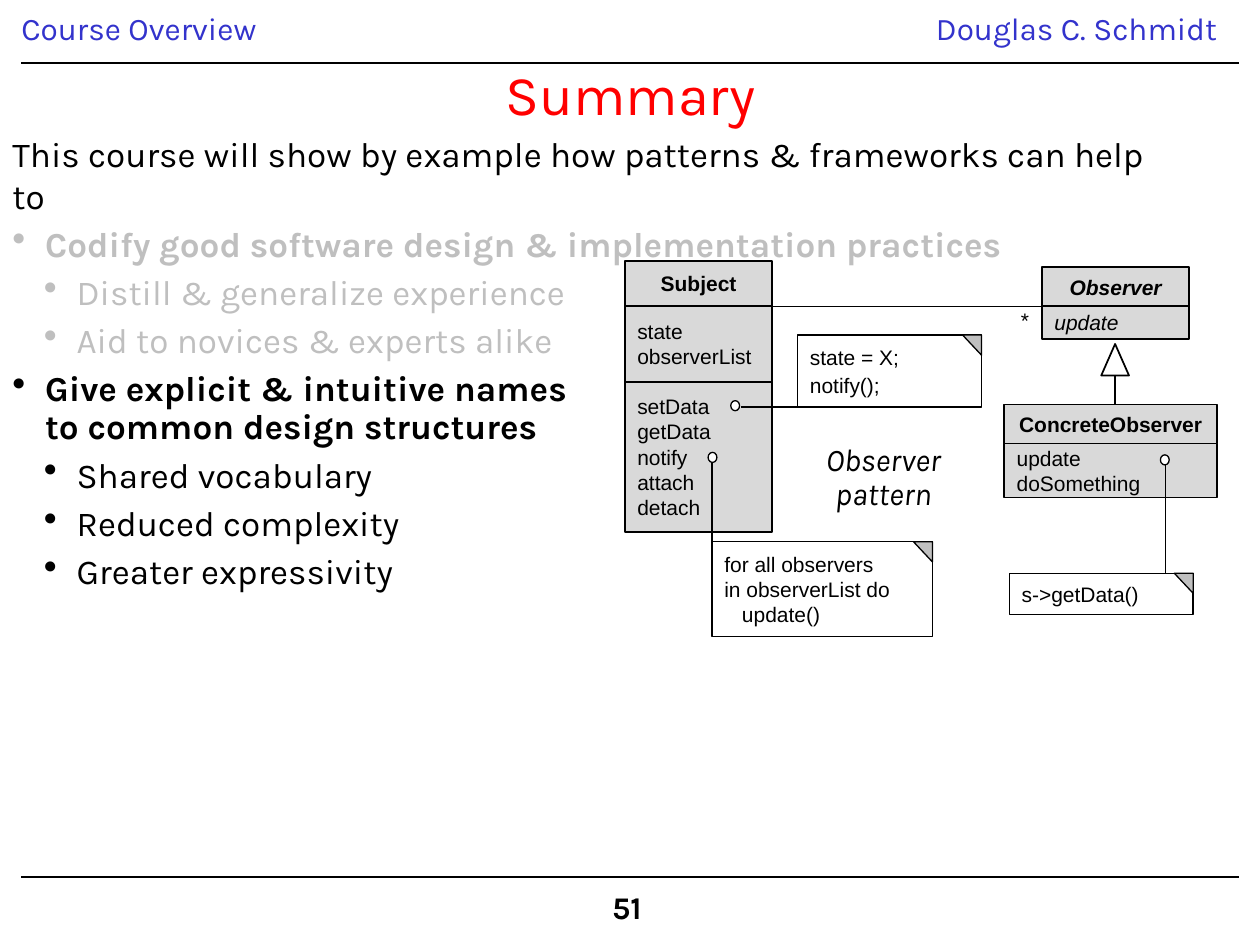
import pptx
import pptx.dml.color
import pptx.enum.shapes
import pptx.enum.text
import pptx.oxml.ns
import pptx.util
import lxml.etree

COLORS = {"black": "000000", "white": "FFFFFF", "blue": "3333CC", "red": "FF0000",
          "faded": "BFBFBF", "class": "D9D9D9", "fold": "C0C0C0"}
SHAPES = pptx.enum.shapes.MSO_SHAPE
ALIGN = pptx.enum.text.PP_ALIGN
ANCHOR = pptx.enum.text.MSO_ANCHOR
CODE = {"name": "Arial", "size": 12}
HEADING = {"name": "Karla", "size": 18}
BODY = {"name": "Karla", "size": 20}

INTRO = "This course will show by example how patterns & frameworks can help to"
GOALS = [
    ("faded", "Codify good software design & implementation practices",
     ["Distill & generalize experience", "Aid to novices & experts alike"]),
    ("black", "Give explicit & intuitive names\nto common design structures",
     ["Shared vocabulary", "Reduced complexity", "Greater expressivity"]),
]

LABELS = [
    ("Course Overview", (1.7, 0.6, 59.2, 3.7), HEADING, "blue", ALIGN.LEFT, 0),
    ("Douglas C. Schmidt", (73.3, 0.6, 25.1, 4), HEADING, "blue", ALIGN.LEFT, 1),
    ("51", (47.6, 70.3, 5.1, 4), {**HEADING, "bold": True}, "black", ALIGN.LEFT, 1),
    ("Summary", (1.7, 5.3, 96.7, 4.2), {**HEADING, "size": 32}, "red", ALIGN.CENTER, 1),
    ("*", (80, 23.9, 2.7, 3), CODE, "black", ALIGN.CENTER, 0),
    ("Observer pattern", (63, 34.8, 14.2, 6.5), {**HEADING, "italic": True},
     "black", ALIGN.CENTER, 1),
]

CLASSES = [
    (49.6, 20.7, 11.7, [
        (3.6, ["Subject"], {"bold": True}),
        (6, ["state", "observerList"], {}),
        (11.9, ["setData", "getData", "notify", "attach", "detach"], {})]),
    (82.7, 21.2, 11.7, [
        (3.1, ["Observer"], {"bold": True, "italic": True}),
        (2.6, ["update"], {"italic": True})]),
    (79.7, 32.1, 16.9, [
        (3.1, ["ConcreteObserver"], {"bold": True}),
        (4.3, ["update", "doSomething"], {})]),
]
NOTES = {
    "set": ((63.3, 26.6, 14.6, 5.7), ["state = X;", "notify();"], 2, 0),
    "notify": ((56.5, 43, 17.5, 7.5), ["for all observers\nin observerList do", "update()"], 0, 1.4),
    "update": ((80.1, 45.5, 14.6, 3.3), ["s->getData()"], 0, 0),
}
RULES = [(1.7, 5, 98.3, 5), (1.7, 69.6, 98.3, 69.6)]
ASSOCIATION = (61.3, 24.3, 82.7, 24.3)
INHERITANCE = (88.5, 29.8, 88.5, 32.2)
ARROWHEAD = (87.4, 27.3, 2.2, 2.5)
NOTE_LINKS = {"set": (63.3, 32.3, 58.8, 32.3), "notify": (56.5, 36.6, 56.5, 46.75),
              "update": (92.5, 36.9, 92.5, 45.5)}
DOTS = [(58, 31.8), (56.2, 35.9), (92.1, 36.1)]

deck = pptx.Presentation()
deck.slide_width = pptx.util.Inches(10)
deck.slide_height = pptx.util.Inches(7.5)
COLUMN = deck.slide_width / 100
ROW = deck.slide_height / 75
page = deck.slides.add_slide(deck.slide_layouts[6])


def place(*cells):
    return [round(cell * unit) for cell, unit in zip(cells, (COLUMN, ROW) * 2)]


def rgb(name):
    return pptx.dml.color.RGBColor.from_string(COLORS[name])


def outline(shape, fill, weight):
    shape.shadow.inherit = False
    shape.fill.solid()
    shape.fill.fore_color.rgb = rgb(fill)
    shape.line.color.rgb = rgb("black")
    shape.line.width = pptx.util.Pt(weight)
    return shape


def add_outlined(kind, cells, fill="white", weight=0.75):
    return outline(page.shapes.add_shape(kind, *place(*cells)), fill, weight)


def add_line(cells, weight=0.75):
    line = page.shapes.add_connector(pptx.enum.shapes.MSO_CONNECTOR.STRAIGHT, *place(*cells))
    line.line.color.rgb = rgb("black")
    line.line.width = pptx.util.Pt(weight)
    lxml.etree.SubElement(line._element.spPr, pptx.oxml.ns.qn("a:effectLst"))
    return line


def prepare(box, anchor, side=1, top=0.5):
    frame = box.text_frame
    margin = round(side * COLUMN)
    settings = {"word_wrap": True, "vertical_anchor": anchor,
                "margin_left": margin, "margin_right": margin,
                "margin_top": round(top * ROW), "margin_bottom": round(top * ROW)}
    for key, value in settings.items():
        setattr(frame, key, value)
    return frame


def write(paragraph, text, style, color="black", **layout):
    paragraph.text = text
    for key, value in layout.items():
        setattr(paragraph, key, value)
    for span in paragraph.runs:
        for key, value in style.items():
            setattr(span.font, key, pptx.util.Pt(value) if key == "size" else value)
        span.font.color.rgb = rgb(color)


def next_paragraph(frame, index):
    return frame.add_paragraph() if index else frame.paragraphs[0]


def add_bullet(frame, text, level, color):
    paragraph = frame.add_paragraph()
    properties = paragraph._p.get_or_add_pPr()
    properties.set("marL", str(round((5.1 if level else 2.6) * COLUMN)))
    properties.set("indent", str(round(-2.6 * COLUMN)))
    tint = lxml.etree.SubElement(properties, pptx.oxml.ns.qn("a:buClr"))
    lxml.etree.SubElement(tint, pptx.oxml.ns.qn("a:srgbClr"), val=COLORS[color])
    lxml.etree.SubElement(properties, pptx.oxml.ns.qn("a:buSzPct"), val="110000")
    lxml.etree.SubElement(properties, pptx.oxml.ns.qn("a:buChar"), char="•")
    write(paragraph, text, {**BODY, "bold": level == 0}, color, level=level,
          line_spacing=0.9, space_before=pptx.util.Pt(6))


def add_class(left, top, width, compartments):
    for index, (height, lines, style) in enumerate(compartments):
        box = add_outlined(SHAPES.RECTANGLE, (left, top, width, height), "class", 1)
        frame = prepare(box, ANCHOR.MIDDLE, top=0)
        for row, text in enumerate(lines):
            write(next_paragraph(frame, row), text, {**CODE, **style},
                  alignment=ALIGN.LEFT if index else ALIGN.CENTER)
        top += height


def add_note(cells, lines, gap, indent):
    box = add_outlined(SHAPES.RECTANGLE, cells)
    frame = prepare(box, ANCHOR.MIDDLE)
    for row, text in enumerate(lines):
        paragraph = next_paragraph(frame, row)
        write(paragraph, text, CODE, alignment=ALIGN.LEFT)
        if row:
            paragraph.space_before = pptx.util.Pt(gap)
            paragraph._p.get_or_add_pPr().set("marL", str(round(indent * COLUMN)))
    left, top, width, _ = cells
    right = left + width
    fold = page.shapes.build_freeform(*place(right - 1.5, top))
    fold.add_line_segments([place(right, top + 1.6), place(right, top)], close=True)
    outline(fold.convert_to_shape(), "fold", 0.75)
    return box


for rule in RULES:
    add_line(rule)
for text, cells, style, color, alignment, side in LABELS:
    frame = prepare(page.shapes.add_textbox(*place(*cells)),
                    ANCHOR.MIDDLE if text == "Summary" else ANCHOR.TOP, side)
    write(frame.paragraphs[0], text, style, color, alignment=alignment,
          line_spacing=0.9 if style["name"] == "Karla" and text != "Summary" else 1.0)

body = prepare(page.shapes.add_textbox(*place(0, 10, 94.6, 61.9)), ANCHOR.TOP)
write(body.paragraphs[0], INTRO, BODY)
for color, goal, benefits in GOALS:
    add_bullet(body, goal, 0, color)
    for benefit in benefits:
        add_bullet(body, benefit, 1, color)

add_outlined(SHAPES.ISOSCELES_TRIANGLE, ARROWHEAD, weight=1)
add_line(INHERITANCE, 1)
add_line(ASSOCIATION)
for parts in CLASSES:
    add_class(*parts)
note_boxes = {name: add_note(*note) for name, note in NOTES.items()}
links = {name: add_line(cells) for name, cells in NOTE_LINKS.items()}
links["notify"].end_connect(note_boxes["notify"], 1)
for left, top in DOTS:
    add_outlined(SHAPES.OVAL, (left, top, 0.7, 0.8))

deck.save("out.pptx")
